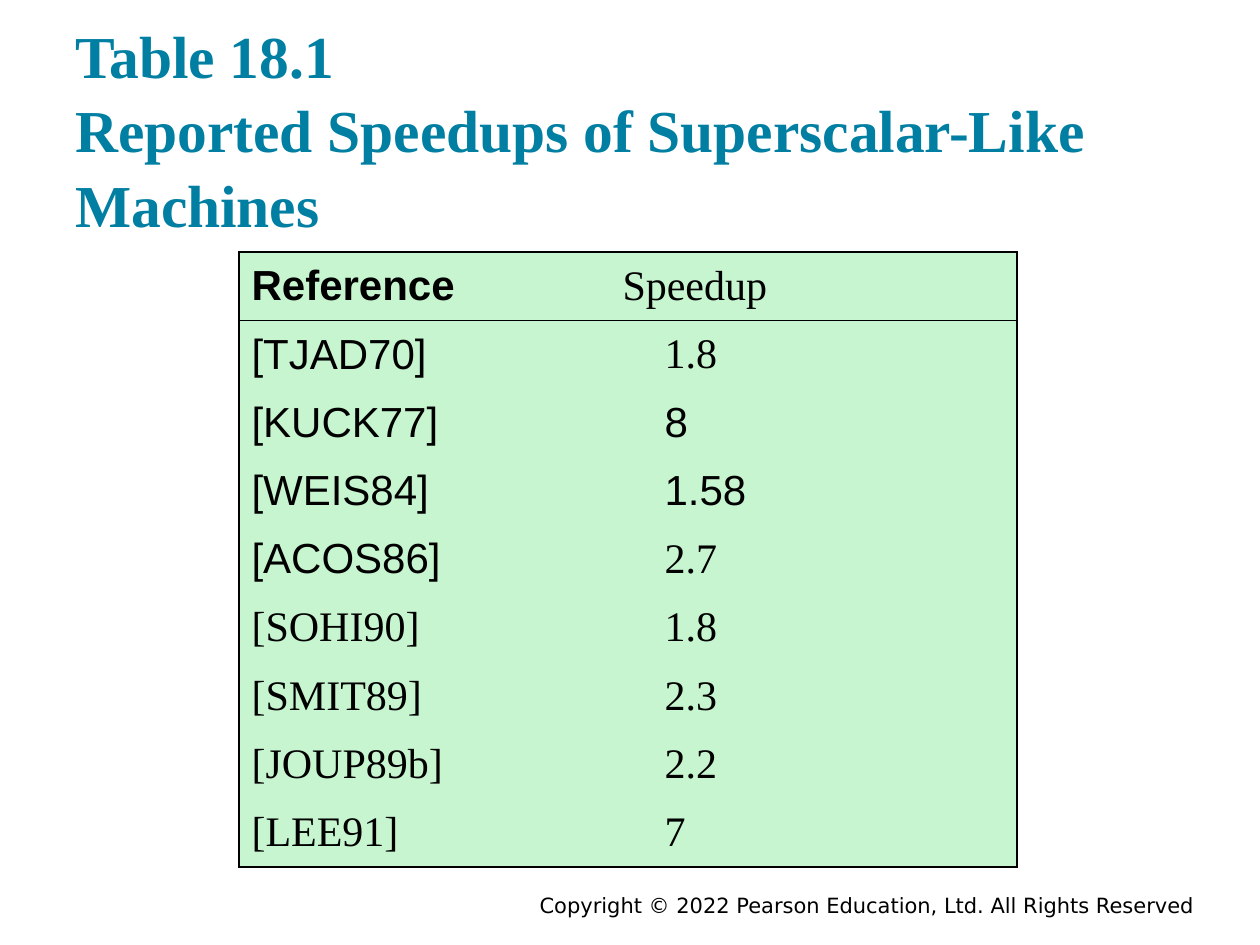
from dataclasses import dataclass

from lxml import etree
from pptx import Presentation
from pptx.dml.color import RGBColor
from pptx.enum.text import MSO_ANCHOR, PP_ALIGN
from pptx.oxml.ns import qn
from pptx.util import Emu, Pt

SCALE = 914400 / 126
MIDDLE, BOTTOM = MSO_ANCHOR.MIDDLE, MSO_ANCHOR.BOTTOM
LEFT, RIGHT = PP_ALIGN.LEFT, PP_ALIGN.RIGHT
SANS, SERIF, FOOTER = "Arial", "Times New Roman", "DejaVu Sans"
BLACK, TEAL, MINT = "000000", "007FA3", "C6F5CF"
SPEEDUP_INDENT = 42
COLUMN_WIDTHS = (371, 407)
TABLE_HEIGHT = 615


@dataclass
class Label:
    text: str
    left: int
    top: int
    width: int
    height: int
    font: str
    size: int
    color: str
    bold: bool = False
    align: PP_ALIGN = LEFT
    anchor: MSO_ANCHOR = MSO_ANCHOR.TOP
    line_spacing: float = 1.0


@dataclass
class Entry:
    reference: str
    speedup: str
    reference_font: str = SERIF
    speedup_font: str = SERIF


LABELS = [
    Label("Copyright © 2022 Pearson Education, Ltd. All Rights Reserved",
          220, 886, 987, 28, FOOTER, 12, BLACK, align=RIGHT),
    Label("Table 18.1\vReported Speedups of Superscalar-Like Machines",
          63, 24, 1134, 222, SERIF, 34, TEAL, bold=True, anchor=BOTTOM, line_spacing=1.05),
]
ENTRIES = [
    Entry("Reference", "Speedup", SANS),
    Entry("[TJAD70]", "1.8", SANS),
    Entry("[KUCK77]", "8", SANS, SANS),
    Entry("[WEIS84]", "1.58", SANS, SANS),
    Entry("[ACOS86]", "2.7", SANS),
    Entry("[SOHI90]", "1.8"),
    Entry("[SMIT89]", "2.3"),
    Entry("[JOUP89b]", "2.2"),
    Entry("[LEE91]", "7"),
]


def px(length: float) -> Emu:
    return Emu(round(length * SCALE))


def rgb(color: str) -> RGBColor:
    return RGBColor.from_string(color)


def style(paragraph, font: str, size: int, color: str, bold: bool = False) -> None:
    paragraph.font.name = font
    paragraph.font.size = Pt(size)
    paragraph.font.bold = bold
    paragraph.font.color.rgb = rgb(color)


def add_label(slide, label: Label) -> None:
    shape = slide.shapes.add_textbox(
        px(label.left), px(label.top), px(label.width), px(label.height))
    frame = shape.text_frame
    frame.word_wrap = True
    frame.vertical_anchor = label.anchor
    paragraph = frame.paragraphs[0]
    paragraph.text = label.text
    paragraph.alignment = label.align
    paragraph.line_spacing = label.line_spacing
    style(paragraph, label.font, label.size, label.color, label.bold)


def set_borders(cell, sides: dict[str, bool]) -> None:
    properties = cell._tc.get_or_add_tcPr()
    for position, (side, visible) in enumerate(sides.items()):
        line = etree.Element(qn(f"a:ln{side}"), w=str(Pt(1) if visible else 0))
        if visible:
            fill = etree.SubElement(line, qn("a:solidFill"))
            etree.SubElement(fill, qn("a:srgbClr"), val=BLACK)
        else:
            etree.SubElement(line, qn("a:noFill"))
        properties.insert(position, line)


def fill_cell(cell, text: str, font: str, bold: bool, indent: int) -> None:
    cell.fill.solid()
    cell.fill.fore_color.rgb = rgb(MINT)
    cell.vertical_anchor = MIDDLE
    paragraph = cell.text_frame.paragraphs[0]
    paragraph.text = text
    if indent:
        paragraph._p.get_or_add_pPr().set("marL", str(px(indent)))
    style(paragraph, font, 24, BLACK, bold)


def add_speedup_table(slide, entries: list[Entry]) -> None:
    shape = slide.shapes.add_table(
        len(entries), len(COLUMN_WIDTHS), px(239), px(252),
        px(sum(COLUMN_WIDTHS)), px(TABLE_HEIGHT))
    table = shape.table
    for column, width in zip(table.columns, COLUMN_WIDTHS):
        column.width = px(width)
    for index, entry in enumerate(entries):
        header = index == 0
        table.rows[index].height = px(TABLE_HEIGHT / len(entries))
        reference, speedup = table.cell(index, 0), table.cell(index, 1)
        fill_cell(reference, entry.reference, entry.reference_font, header, 0)
        fill_cell(speedup, entry.speedup, entry.speedup_font, False,
                  0 if header else SPEEDUP_INDENT)
        top, bottom = index <= 1, header or index == len(entries) - 1
        set_borders(reference, {"L": True, "R": False, "T": top, "B": bottom})
        set_borders(speedup, {"L": False, "R": True, "T": top, "B": bottom})


def main() -> None:
    """Build the slide with the table of reported speedups."""
    presentation = Presentation()
    presentation.slide_width, presentation.slide_height = px(1260), px(945)
    slide = presentation.slides.add_slide(presentation.slide_layouts[6])
    for label in LABELS:
        add_label(slide, label)
    add_speedup_table(slide, ENTRIES)
    presentation.save("out.pptx")


if __name__ == "__main__":
    main()
